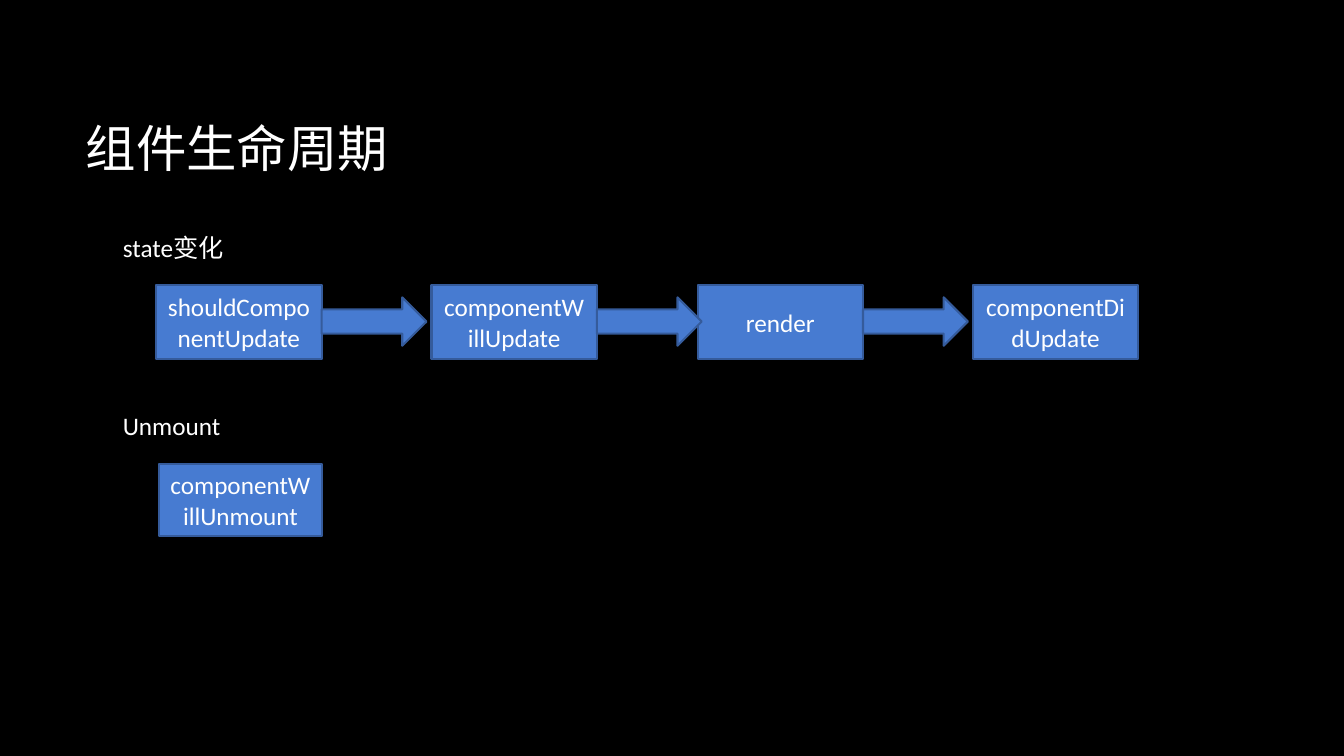
from pptx import Presentation
from pptx.dml.color import RGBColor
from pptx.enum.shapes import MSO_SHAPE
from pptx.enum.text import MSO_ANCHOR, MSO_AUTO_SIZE, PP_ALIGN
from pptx.util import Emu, Pt

PX = 9144  # 100 px to the inch
HUES = {"back": "000000", "text": "FFFFFF", "fill": "477BD1", "line": "355B9B"}
FONT = {"name": "Calibri", "size": Pt(18), "bold": False}


def hue(name):
    return RGBColor.from_string(HUES[name])


def scale(*box):
    return [Emu(n * PX) for n in box]


def write(shape, text, align=PP_ALIGN.LEFT, anchor=MSO_ANCHOR.MIDDLE, **extra):
    frame = shape.text_frame
    frame.text = text
    form = {"word_wrap": True, "auto_size": MSO_AUTO_SIZE.NONE,
            "vertical_anchor": anchor}
    for key, value in form.items():
        setattr(frame, key, value)
    par = frame.paragraphs[0]
    par.alignment = align
    font = par.runs[0].font
    for key, value in {**FONT, **extra}.items():
        setattr(font, key, value)
    font.color.rgb = hue("text")


def block(slide, kind, box):
    shape = slide.shapes.add_shape(kind, *scale(*box))
    shape.shadow.inherit = False
    shape.fill.solid()
    shape.fill.fore_color.rgb = hue("fill")
    shape.line.color.rgb = hue("line")
    shape.line.width = Pt(1.5)
    return shape


def step(slide, box, text):
    write(block(slide, MSO_SHAPE.RECTANGLE, box), text, PP_ALIGN.CENTER)


def label(slide, x, y, text):
    box = slide.shapes.add_textbox(*scale(x, y, 300, 40))
    write(box, text, anchor=MSO_ANCHOR.TOP)


def header(slide, box, text):
    title = slide.shapes.title
    title.left, title.top, title.width, title.height = scale(*box)
    write(title, text, size=Pt(36))


def update(slide, x, y):
    """Chain of calls made when the state changes."""
    label(slide, x, y, "state变化")
    wide, high, top = 164, 73, y + 57
    steps = {43: "shouldComponentUpdate", 316: "componentWillUpdate",
             580: "render", 853: "componentDidUpdate"}
    for left, text in steps.items():
        step(slide, (x + left, top, wide, high), text)
    # Arrows start at the right side of each step but the last
    for left in list(steps)[:-1]:
        block(slide, MSO_SHAPE.RIGHT_ARROW,
              (x + left + wide, top + 12, 104, 48))


def unmount(slide, x, y):
    """Call made when the component is removed."""
    label(slide, x, y, "Unmount")
    step(slide, (x + 46, y + 58, 161, 72), "componentWillUnmount")


def main():
    deck = Presentation()
    deck.slide_width, deck.slide_height = scale(1333, 750)
    slide = deck.slides.add_slide(deck.slide_layouts[5])
    slide.background.fill.solid()
    slide.background.fill.fore_color.rgb = hue("back")

    header(slide, (75, 67, 1108, 159), "组件生命周期")
    update(slide, 112, 226)
    unmount(slide, 112, 402)
    deck.save("out.pptx")


if __name__ == "__main__":
    main()
